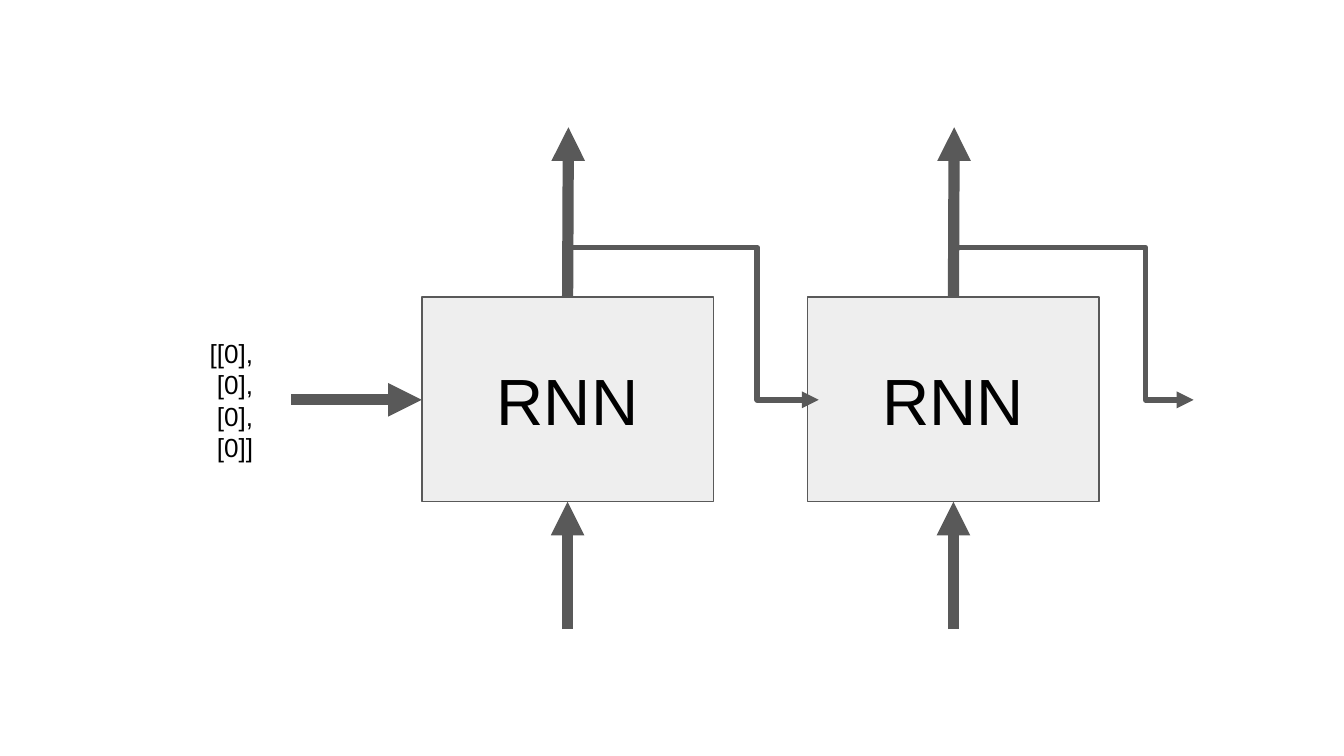
from lxml import etree
from pptx import Presentation
from pptx.dml.color import RGBColor
from pptx.enum.shapes import MSO_CONNECTOR, MSO_SHAPE
from pptx.enum.text import MSO_ANCHOR, PP_ALIGN
from pptx.oxml.ns import qn
from pptx.util import Pt

STRAIGHT = MSO_CONNECTOR.STRAIGHT
ELBOW = MSO_CONNECTOR.ELBOW
RECTANGLE = MSO_SHAPE.RECTANGLE
MIDDLE = MSO_ANCHOR.MIDDLE
TOP = MSO_ANCHOR.TOP
CENTER = PP_ALIGN.CENTER
LEFT = PP_ALIGN.LEFT


def color(value):
    return RGBColor.from_string(value)


class Diagram:
    font = "Arial"
    ink = "000000"
    stroke = "595959"
    cell_fill = "EEEEEE"
    inset = 7.2

    def __init__(self, slide):
        self.slide = slide

    def set_text(self, shape, lines, size, align, anchor, spacing=None):
        frame = shape.text_frame
        frame.margin_left = frame.margin_right = Pt(self.inset)
        frame.margin_top = frame.margin_bottom = Pt(self.inset)
        frame.vertical_anchor = anchor
        frame.text = "\n".join(lines)
        for paragraph in frame.paragraphs:
            paragraph.alignment = align
            if spacing:
                paragraph.line_spacing = Pt(spacing)
            paragraph.font.name = self.font
            paragraph.font.size = Pt(size)
            paragraph.font.color.rgb = color(self.ink)

    def cell(self, left, top, width, height, label):
        shape = self.slide.shapes.add_shape(
            RECTANGLE, Pt(left), Pt(top), Pt(width), Pt(height))
        shape.shadow.inherit = False
        shape.fill.solid()
        shape.fill.fore_color.rgb = color(self.cell_fill)
        shape.line.color.rgb = color(self.stroke)
        shape.line.width = Pt(0.75)
        self.set_text(shape, [label], 35, CENTER, MIDDLE)

    def text(self, left, top, width, height, lines):
        shape = self.slide.shapes.add_textbox(
            Pt(left), Pt(top), Pt(width), Pt(height))
        shape.text_frame.word_wrap = False
        self.set_text(shape, lines, 14, LEFT, TOP, 16.8)

    def connector(self, start, end, weight, kind=STRAIGHT, bend=None, arrow=True):
        connector = self.slide.shapes.add_connector(
            kind, *(Pt(value) for value in (*start, *end)))
        connector.line.color.rgb = color(self.stroke)
        connector.line.width = Pt(weight)
        properties = connector._element.spPr
        if arrow:
            line = properties.find(qn("a:ln"))
            etree.SubElement(line, qn("a:tailEnd"), type="triangle")
        if bend is not None:
            adjustments = properties.find(qn("a:prstGeom")).find(qn("a:avLst"))
            etree.SubElement(adjustments, qn("a:gd"), name="adj1",
                             fmla=f"val {round(bend * 100000)}")
        etree.SubElement(properties, qn("a:effectLst"))


def main():
    presentation = Presentation()
    presentation.slide_width = Pt(720)
    presentation.slide_height = Pt(405)
    slide = presentation.slides.add_slide(presentation.slide_layouts[6])
    diagram = Diagram(slide)

    first_left, pitch = 226, 206.7
    top, width, height = 159.2, 156.2, 109.6
    bottom = top + height
    branch_y, state_y = 132.6, 214.2
    arrow_length = 68.2
    thick, thin = 6, 3

    # Two time steps, each with its output, state and input arrows
    for step, bend in enumerate((0.79, 0.8)):
        left = first_left + step * pitch
        middle = left + width / 2
        diagram.cell(left, top, width, height, "RNN")
        diagram.connector((middle, top), (middle + 0.4, 68.2), thick)
        diagram.connector((middle, branch_y), (left + pitch, state_y), thin,
                          ELBOW, bend, arrow=step == 1)
        diagram.connector((middle, bottom + arrow_length), (middle, bottom), thick)

    # State arrow entering the second cell
    diagram.connector((415.6, state_y), (438.6, state_y), thin)

    # Initial state
    diagram.connector((156, state_y), (first_left, state_y), thick)
    diagram.text(105.2, 173.6, 39, 81.4, ["[[0],", " [0],", " [0],", " [0]]"])

    presentation.save("out.pptx")


if __name__ == "__main__":
    main()
